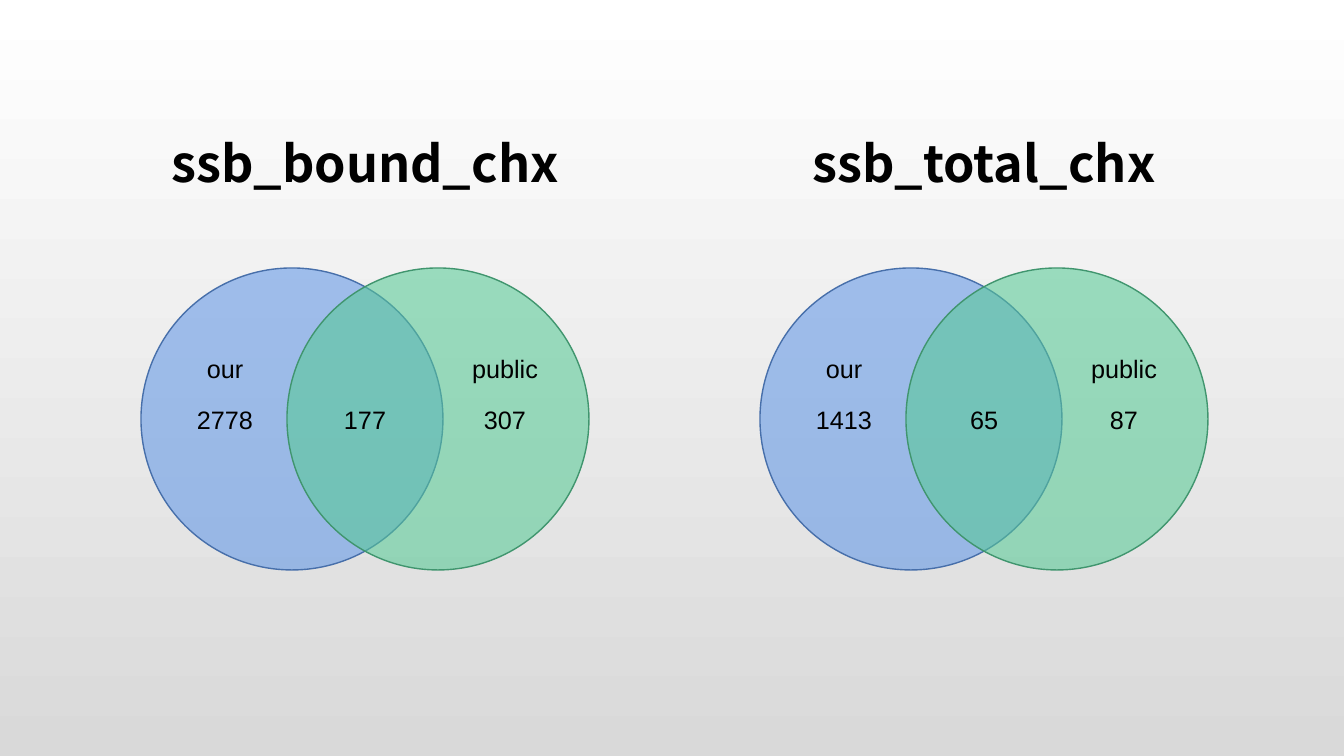
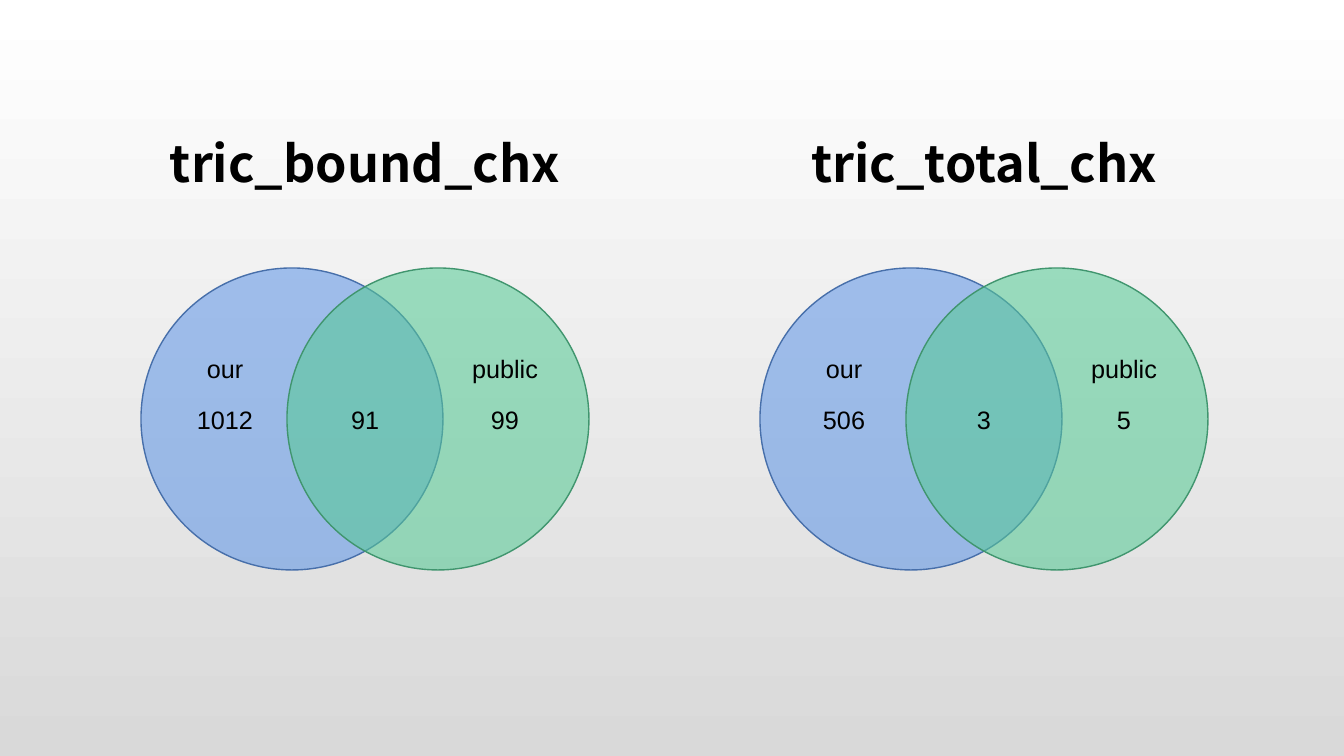
from lxml.etree import SubElement
from pptx import Presentation
from pptx.dml.color import RGBColor
from pptx.enum.shapes import MSO_SHAPE
from pptx.enum.text import MSO_ANCHOR, MSO_AUTO_SIZE, PP_ALIGN
from pptx.oxml.ns import qn
from pptx.util import Emu, Pt

SLIDES = [
    [("ssb_bound_chx", (2778, 177, 307)), ("ssb_total_chx", (1413, 65, 87))],
    [("tric_bound_chx", (1012, 91, 99)), ("tric_total_chx", (506, 3, 5))],
]
BACKGROUND = ("FFFFFF", "D9D9D9")
CIRCLES = [("6096E6", "476FAA"), ("56CA95", "40956E")]
OPACITY = 57
BLACK = "000000"
TITLE_FONT, LABEL_FONT = "Noto Sans CJK SC", "Arial"
NO_STYLE = "{2D5ABB26-0587-4C30-8999-92F81FD0307C}"

VENN_LEFTS = (141, 760)
CIRCLE_TOP, DIAMETER, SHIFT = 268, 302, 146
VENN_W = DIAMETER + SHIFT
TITLE_TOP, TITLE_W, TITLE_H = 104, 403, 117
LABEL_TOP, LABEL_W, LABEL_H = 348, 124, 40
COUNT_TOP, COUNT_W = 399, 88
CENTERS = (84, 224, 364)


def px(n):
    return Emu(round(n * 914400 / 100.8))


def rgb(color):
    return RGBColor.from_string(color)


def style(p, font, size, bold=False):
    p.alignment = PP_ALIGN.CENTER
    p.font.name, p.font.size, p.font.bold = font, Pt(size), bold
    p.font.color.rgb = rgb(BLACK)


def add_title(s, center, text):
    frame = s.shapes.add_table(1, 1, px(center - TITLE_W / 2), px(TITLE_TOP), px(TITLE_W), px(TITLE_H))
    table = frame.table
    table.first_row = table.horz_banding = False
    table._tbl.tblPr.find(qn("a:tableStyleId")).text = NO_STYLE
    cell = table.cell(0, 0)
    cell.fill.background()
    cell.vertical_anchor = MSO_ANCHOR.MIDDLE
    cell.margin_left = cell.margin_right = cell.margin_top = px(1)
    cell.margin_bottom = px(5)
    cell.text = text
    style(cell.text_frame.paragraphs[0], TITLE_FONT, 36, True)


def add_circle(shapes, left, fill, line):
    sp = shapes.add_shape(MSO_SHAPE.OVAL, px(left), px(CIRCLE_TOP), px(DIAMETER), px(DIAMETER))
    sp.shadow.inherit = False
    sp.fill.solid()
    sp.fill.fore_color.rgb = rgb(fill)
    color = sp._element.spPr.find(qn("a:solidFill")).find(qn("a:srgbClr"))
    SubElement(color, qn("a:alpha"), val=str(OPACITY * 1000))
    sp.line.color.rgb = rgb(line)
    sp.line.width = Pt(1)


def add_label(shapes, center, top, width, text):
    tf = shapes.add_textbox(px(center - width / 2), px(top), px(width), px(LABEL_H)).text_frame
    tf.word_wrap = True
    tf.auto_size = MSO_AUTO_SIZE.SHAPE_TO_FIT_TEXT
    tf.text = text
    style(tf.paragraphs[0], LABEL_FONT, 18)


def add_venn(s, left, title, counts):
    add_title(s, left + VENN_W / 2, title)
    group = s.shapes.add_group_shape()
    for i, (fill, line) in enumerate(CIRCLES):
        add_circle(group.shapes, left + i * SHIFT, fill, line)
    for text, center in (("our", CENTERS[0]), ("public", CENTERS[2])):
        add_label(group.shapes, left + center, LABEL_TOP, LABEL_W, text)
    for count, center in zip(counts, CENTERS):
        add_label(s.shapes, left + center, COUNT_TOP, COUNT_W, str(count))


prs = Presentation()
prs.slide_width, prs.slide_height = px(1344), px(756)
fill = prs.slide_master.background.fill
fill.gradient()
fill.gradient_angle = 270
for stop, color in zip(fill.gradient_stops, BACKGROUND):
    stop.color.rgb = rgb(color)

for venns in SLIDES:
    s = prs.slides.add_slide(prs.slide_layouts[6])
    for left, (title, counts) in zip(VENN_LEFTS, venns):
        add_venn(s, left, title, counts)

prs.save("out.pptx")
